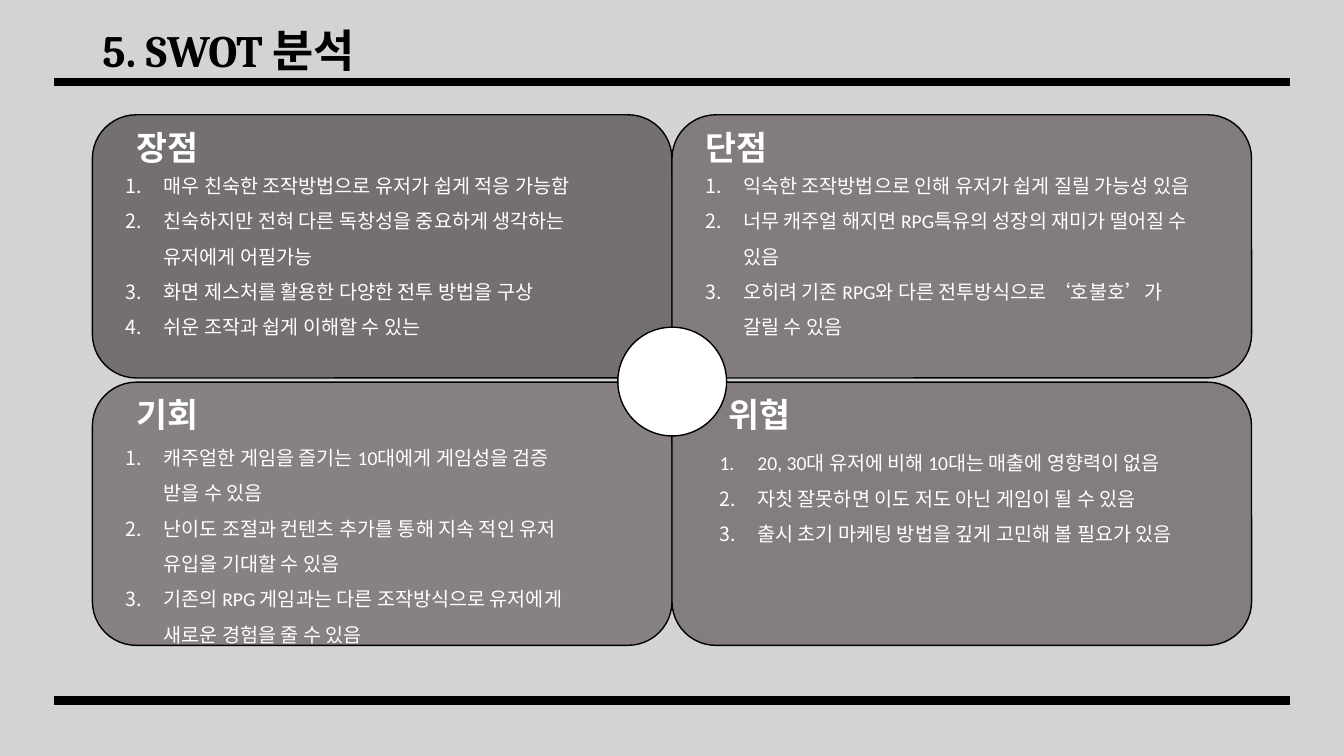
"""Build a SWOT analysis slide with four rounded panels around a circle."""
from lxml import etree
from pptx import Presentation
from pptx import util as u
from pptx.dml.color import RGBColor
from pptx.enum import shapes, text
from pptx.oxml.ns import qn

COLOURS = {
    "page": "D4D3D3", "ink": "000000", "light": "FFFFFF",
    "strength": "757070", "weakness": "827C7C",
    "opportunity": "878181", "threat": "837D7D",
}
PANEL_WIDTH, PANEL_HEIGHT = 414, 188
LEFTS, TOPS = (66, 480), (82, 273)

QUADRANTS = [
    {"fill": "strength", "column": 0, "row": 0,
     "heading": "장점", "heading_area": (90.7, 87.1, 65.5, 36),
     "list_area": (82.8, 112.3, 357.8, 131.8),
     "items": ["매우 친숙한 조작방법으로 유저가 쉽게 적응 가능함",
               "친숙하지만 전혀 다른 독창성을 중요하게 생각하는\n유저에게 어필가능",
               "화면 제스처를 활용한 다양한 전투 방법을 구상",
               "쉬운 조작과 쉽게 이해할 수 있는"]},
    {"fill": "opportunity", "column": 0, "row": 1,
     "heading": "기회", "heading_area": (90.7, 277.9, 65.5, 36),
     "list_area": (82.8, 306.7, 357.8, 157),
     "items": ["캐주얼한 게임을 즐기는 10대에게 게임성을 검증\n받을 수 있음",
               "난이도 조절과 컨텐츠 추가를 통해 지속 적인 유저\n유입을 기대할 수 있음",
               "기존의 RPG 게임과는 다른 조작방식으로 유저에게\n새로운 경험을 줄 수 있음"]},
    {"fill": "threat", "column": 1, "row": 1,
     "heading": "위협", "heading_area": (513.4, 277.9, 72.7, 36),
     "list_area": (506.9, 310.3, 363.6, 106.6),
     "items": ["20, 30대 유저에 비해 10대는 매출에 영향력이 없음",
               "자칫 잘못하면 이도 저도 아닌 게임이 될 수 있음",
               "출시 초기 마케팅 방법을 깊게 고민해 볼 필요가 있음"]},
    {"fill": "weakness", "column": 1, "row": 0,
     "heading": "단점", "heading_area": (496.8, 87.1, 62.6, 36),
     "list_area": (496.8, 112.3, 388.8, 157),
     "items": ["익숙한 조작방법으로 인해 유저가 쉽게 질릴 가능성 있음",
               "너무 캐주얼 해지면 RPG특유의 성장의 재미가 떨어질 수\n있음",
               "오히려 기존 RPG와 다른 전투방식으로 ‘호불호’가\n갈릴 수 있음"]},
]


def colour(name):
    """Return the named colour."""
    return RGBColor.from_string(COLOURS[name])


def points(values):
    """Convert numbers to point lengths."""
    return [u.Pt(value) for value in values]


class Painter:
    """Hold the style and the current page."""

    def __init__(self, page, font="Calibri"):
        self.page = page
        self.font = font
        fill = page.background.fill
        fill.solid()
        fill.fore_color.rgb = colour("page")

    def span(self, para, words, size, bold=False, ink="light", font=None):
        """Add words as runs, split at line breaks."""
        for index, line in enumerate(words.split("\n")):
            if index:
                para.add_line_break()
            span = para.add_run()
            span.text = line
            span.font.size = u.Pt(size)
            span.font.bold = bold
            span.font.name = font or self.font
            span.font.color.rgb = colour(ink)

    def title(self, words, area):
        """Place and format the title placeholder."""
        box = self.page.shapes.title
        box.left, box.top, box.width, box.height = points(area)
        frame = box.text_frame
        frame.auto_size = text.MSO_AUTO_SIZE.NONE
        frame.vertical_anchor = text.MSO_ANCHOR.MIDDLE
        para = frame.paragraphs[0]
        para.alignment = text.PP_ALIGN.LEFT
        para.line_spacing = 0.9
        self.span(para, words, 32, True, "ink", "Cambria")

    def rule(self, left, right, top):
        """Draw a thick horizontal rule."""
        line = self.page.shapes.add_connector(
            shapes.MSO_CONNECTOR.STRAIGHT, *points((left, top, right, top)))
        line.line.width = u.Pt(6)
        line.line.color.rgb = colour("ink")
        etree.SubElement(line._element.spPr, qn("a:effectLst"))

    def shape(self, kind, area, fill):
        """Draw a filled shape with a thin outline."""
        shape = self.page.shapes.add_shape(kind, *points(area))
        shape.shadow.inherit = False
        shape.fill.solid()
        shape.fill.fore_color.rgb = colour(fill)
        shape.line.color.rgb = colour("ink")
        shape.line.width = u.Pt(1)

    def heading(self, words, area):
        """Write a panel heading."""
        frame = self.page.shapes.add_textbox(*points(area)).text_frame
        self.span(frame.paragraphs[0], words, 24, True)

    def numbered(self, items, area):
        """Write a numbered list."""
        frame = self.page.shapes.add_textbox(*points(area)).text_frame
        frame.word_wrap = True
        for index, item in enumerate(items):
            para = frame.add_paragraph() if index else frame.paragraphs[0]
            props = para._p.get_or_add_pPr()
            props.set("marL", str(u.Pt(27)))
            props.set("indent", str(-u.Pt(27)))
            tint = etree.SubElement(props, qn("a:buClr"))
            etree.SubElement(tint, qn("a:srgbClr"), val=COLOURS["light"])
            etree.SubElement(props, qn("a:buAutoNum"), type="arabicPeriod")
            para.line_spacing = 1.5
            self.span(para, item, 14)


def main():
    """Build and save the deck."""
    deck = Presentation()
    deck.slide_width, deck.slide_height = points((960, 540))
    painter = Painter(deck.slides.add_slide(deck.slide_layouts[5]))
    for top in (58.5, 500.4):
        painter.rule(38.4, 921.6, top)
    painter.title("5. SWOT 분석", (66, 15.8, 828, 44.6))
    for quadrant in QUADRANTS:
        area = (LEFTS[quadrant["column"]], TOPS[quadrant["row"]],
                PANEL_WIDTH, PANEL_HEIGHT)
        painter.shape(shapes.MSO_SHAPE.ROUNDED_RECTANGLE, area, quadrant["fill"])
    painter.shape(shapes.MSO_SHAPE.OVAL, (441.3, 233.7, 77.7, 77.7), "light")
    for quadrant in QUADRANTS:
        painter.heading(quadrant["heading"], quadrant["heading_area"])
        painter.numbered(quadrant["items"], quadrant["list_area"])
    deck.save("out.pptx")


if __name__ == "__main__":
    main()
